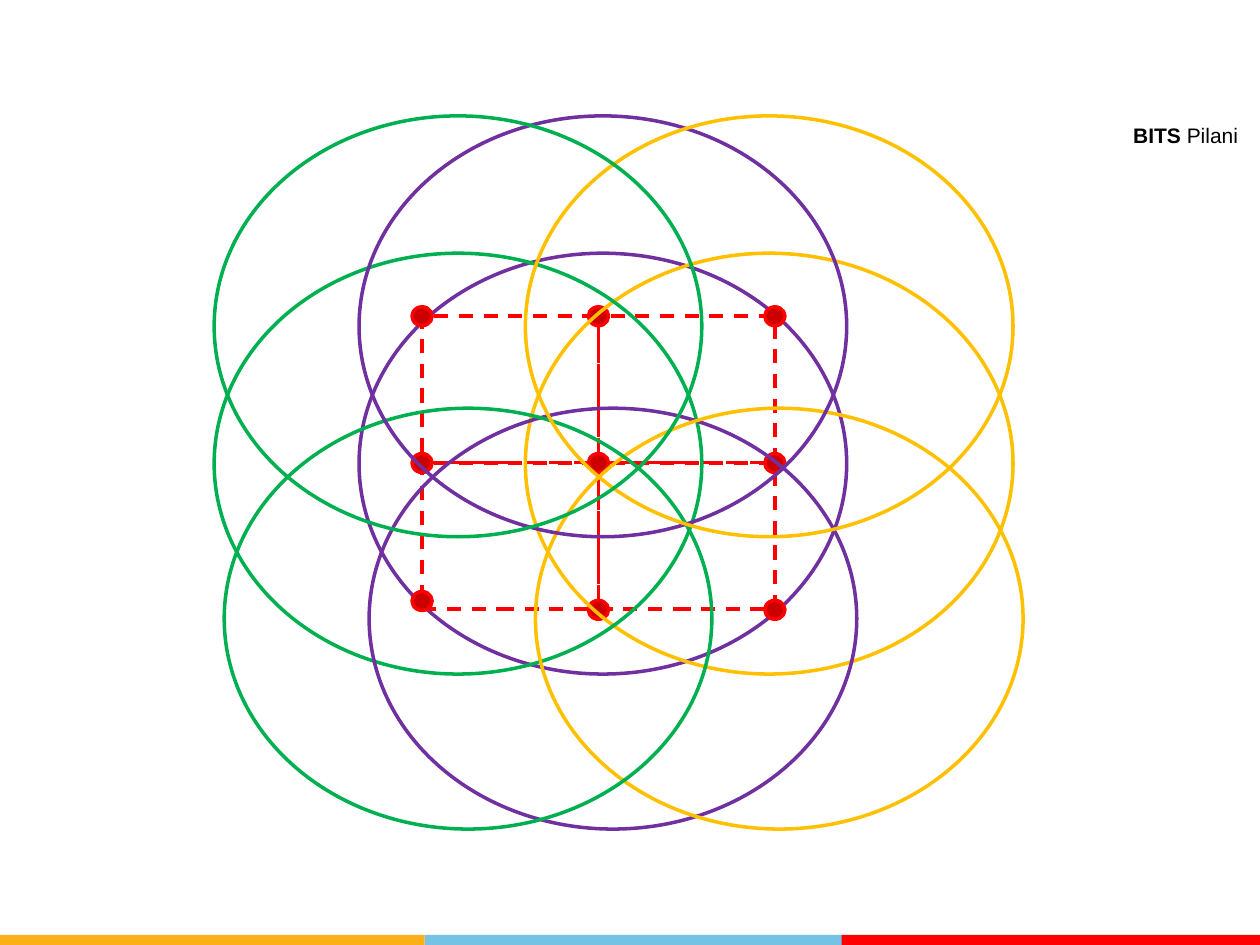
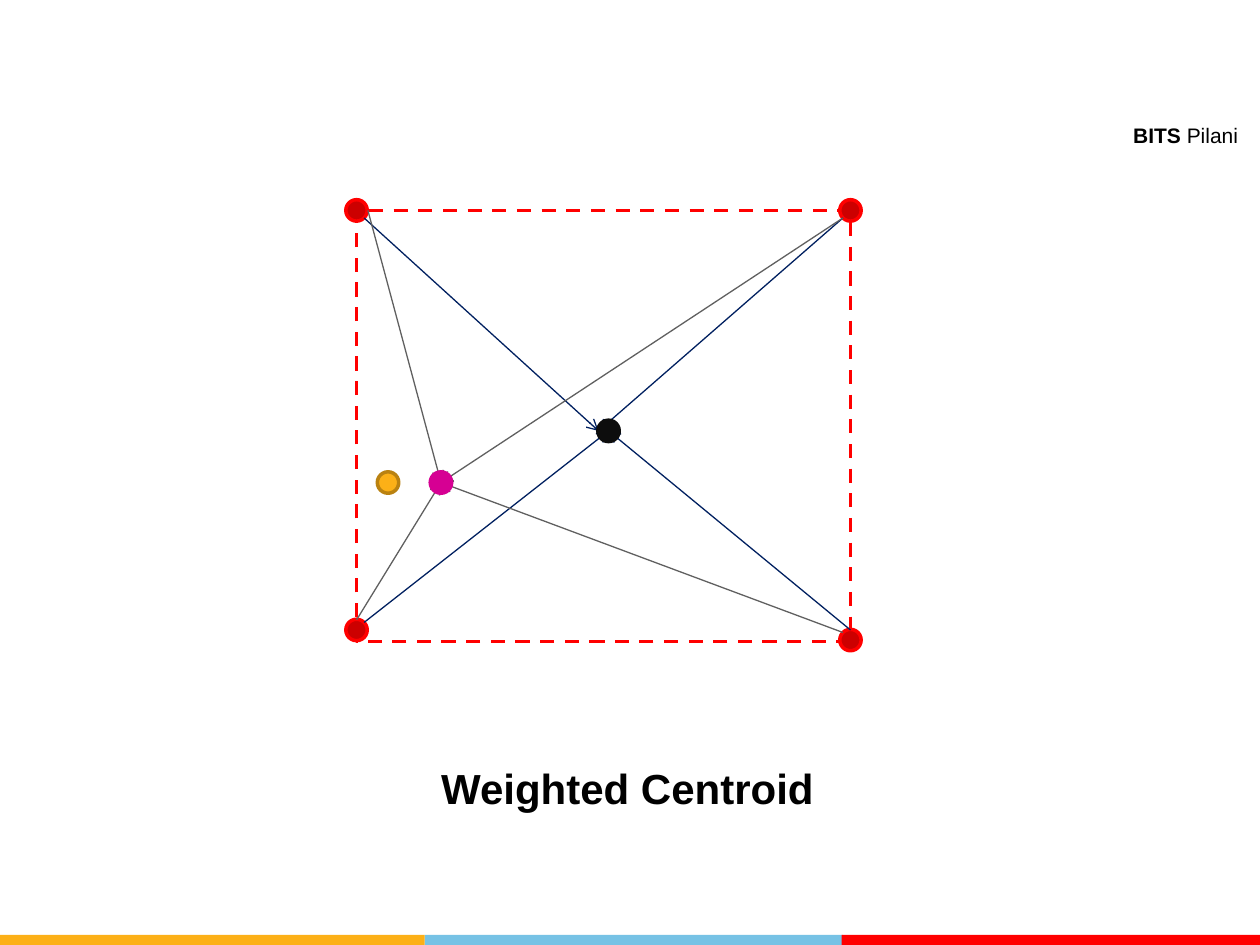
import dataclasses
import itertools
import typing

import lxml.etree
import pptx
import pptx.dml.color
import pptx.enum.dml
import pptx.enum.shapes
import pptx.enum.text
import pptx.oxml.ns
import pptx.slide
import pptx.text.text
import pptx.util

Inches = pptx.util.Inches
RGBColor = pptx.dml.color.RGBColor
ShapeType = pptx.enum.shapes.MSO_SHAPE
Point = tuple[float, float]

BLACK = RGBColor(0x00, 0x00, 0x00)
RED = RGBColor(0xFF, 0x00, 0x00)
DARK_RED = RGBColor(0xCC, 0x00, 0x00)
BAND_YELLOW = RGBColor(0xFC, 0xB0, 0x17)
BAND_BLUE = RGBColor(0x76, 0xC2, 0xE5)
BROWN = RGBColor(0xBA, 0x82, 0x11)
PURPLE = RGBColor(0x70, 0x30, 0xA0)
AMBER = RGBColor(0xFF, 0xC0, 0x00)
GREEN = RGBColor(0x00, 0xB0, 0x50)
NAVY = RGBColor(0x00, 0x20, 0x60)
GRAY = RGBColor(0x60, 0x60, 0x60)
NEAR_BLACK = RGBColor(0x0D, 0x0D, 0x0D)
MAGENTA = RGBColor(0xD6, 0x00, 0x93)

LABEL_FORMAT = {"name": "Arial", "size": pptx.util.Pt(12)}
TITLE_FORMAT = {"name": "Arial", "size": pptx.util.Pt(24), "bold": True}
RANGE_WIDTH, RANGE_HEIGHT = 3.87, 3.34
MARKER_SIZE = 0.17


@dataclasses.dataclass(frozen=True)
class Figure:
    left: float
    top: float
    width: float
    height: float
    kind: ShapeType = ShapeType.OVAL
    fill: typing.Optional[RGBColor] = None
    outline: typing.Optional[RGBColor] = None
    dashed: bool = False


@dataclasses.dataclass(frozen=True)
class Arrow:
    start: Point
    end: Point
    color: RGBColor


BANDS = [
    Figure(3.37, 7.42, 3.32, 0.08, ShapeType.RECTANGLE, BAND_BLUE),
    Figure(0, 7.42, 3.37, 0.08, ShapeType.RECTANGLE, BAND_YELLOW),
    Figure(6.68, 7.42, 3.32, 0.08, ShapeType.RECTANGLE, RED),
]


def draw_figure(slide: pptx.slide.Slide, figure: Figure) -> None:
    shape = slide.shapes.add_shape(
        figure.kind, Inches(figure.left), Inches(figure.top),
        Inches(figure.width), Inches(figure.height))
    shape.shadow.inherit = False
    if figure.fill is None:
        shape.fill.background()
    else:
        shape.fill.solid()
        shape.fill.fore_color.rgb = figure.fill
    if figure.outline is None:
        shape.line.fill.background()
    else:
        shape.line.color.rgb = figure.outline
        shape.line.width = pptx.util.Pt(2)
    if figure.dashed:
        shape.line.dash_style = pptx.enum.dml.MSO_LINE.DASH


def draw_arrow(slide: pptx.slide.Slide, arrow: Arrow) -> None:
    connector = slide.shapes.add_connector(
        pptx.enum.shapes.MSO_CONNECTOR.STRAIGHT,
        *(Inches(value) for value in arrow.start + arrow.end))
    connector.line.color.rgb = arrow.color
    connector.line.width = pptx.util.Pt(0.75)
    properties = connector.element.spPr
    line = properties.find(pptx.oxml.ns.qn("a:ln"))
    lxml.etree.SubElement(line, pptx.oxml.ns.qn("a:tailEnd"), type="arrow")
    lxml.etree.SubElement(properties, pptx.oxml.ns.qn("a:effectLst"))


def dot(center: Point, width: float, height: float,
        fill: RGBColor = DARK_RED, outline: RGBColor = RED) -> Figure:
    x, y = center
    return Figure(x - width / 2, y - height / 2, width, height,
                  fill=fill, outline=outline)


def draw_marker(slide: pptx.slide.Slide, center: Point,
                fill: RGBColor = DARK_RED, outline: RGBColor = RED) -> None:
    draw_figure(slide, dot(center, MARKER_SIZE, MARKER_SIZE, fill, outline))


def format_font(font: pptx.text.text.Font, values: dict[str, typing.Any]) -> None:
    for name, value in values.items():
        setattr(font, name, value)
    font.color.rgb = BLACK


def add_branded_slide(presentation, layout_name: str) -> pptx.slide.Slide:
    layout = presentation.slide_layouts.get_by_name(layout_name)
    slide = presentation.slides.add_slide(layout)
    for band in BANDS:
        draw_figure(slide, band)
    label = slide.shapes.add_textbox(
        Inches(8.85), Inches(0.92), Inches(1.12), Inches(0.29))
    label.text_frame.word_wrap = True
    paragraph = label.text_frame.paragraphs[0]
    paragraph.alignment = pptx.enum.text.PP_ALIGN.CENTER
    for text, bold in (("BITS", True), (" Pilani", False)):
        run = paragraph.add_run()
        run.text = text
        format_font(run.font, LABEL_FORMAT | {"bold": bold})
    return slide


def add_title(slide: pptx.slide.Slide, text: str) -> None:
    title = slide.shapes.title
    placement = {"left": 2.73, "top": 6, "width": 4.5, "height": 0.51}
    for name, value in placement.items():
        setattr(title, name, Inches(value))
    title.text_frame.text = text
    paragraph = title.text_frame.paragraphs[0]
    paragraph.alignment = pptx.enum.text.PP_ALIGN.CENTER
    format_font(paragraph.font, TITLE_FORMAT)


def build_ranges_slide(presentation) -> None:
    slide = add_branded_slide(presentation, "Blank")
    columns = [(2.85, PURPLE), (4.17, AMBER), (1.7, GREEN)]
    rows = [(2.01, 0), (3.24, 0.08), (0.92, 0)]
    ranges = [
        Figure(left + shift, top, RANGE_WIDTH, RANGE_HEIGHT, outline=color)
        for (top, shift), (left, color) in itertools.product(rows, columns)
    ]
    node_columns = [3.35, 4.75, 6.15]
    node_rows = [2.51, 3.675, 4.84]
    cells = [
        Figure(left, top, 1.4, 1.16, ShapeType.RECTANGLE, outline=RED, dashed=True)
        for top, left in itertools.product(node_rows[:2], node_columns[:2])
    ]
    centers = [(x, y) for y, x in itertools.product(node_rows, node_columns)]
    bottom_left = centers.index((node_columns[0], node_rows[-1]))
    centers[bottom_left] = (node_columns[0], 4.77)
    nodes = [dot(center, 0.16, 0.15) for center in centers]
    for figure in ranges[:1] + cells + nodes + ranges[1:]:
        draw_figure(slide, figure)


def build_centroid_slide(presentation) -> None:
    slide = add_branded_slide(presentation, "Title Only")
    add_title(slide, "Weighted Centroid")
    draw_figure(slide, Figure(2.83, 1.67, 3.92, 3.42, ShapeType.RECTANGLE,
                              outline=RED, dashed=True))
    for anchor in [(2.83, 1.67), (6.75, 1.67), (2.83, 5), (6.75, 5.08)]:
        draw_marker(slide, anchor)

    centroid_links = [
        ((2.89, 1.73), (4.75, 3.42)),
        ((6.69, 1.73), (4.75, 3.42)),
        ((6.75, 5), (4.83, 3.42)),
        ((2.89, 4.94), (4.83, 3.42)),
    ]
    for start, end in centroid_links:
        draw_arrow(slide, Arrow(start, end, NAVY))
    draw_marker(slide, (4.83, 3.42), NEAR_BLACK, NEAR_BLACK)

    weighted_centroid = (3.5, 3.83)
    for start in [(2.92, 1.67), (2.83, 4.92), (6.69, 1.73), (6.69, 5.02)]:
        draw_arrow(slide, Arrow(start, weighted_centroid, GRAY))
    draw_marker(slide, weighted_centroid, MAGENTA, MAGENTA)
    draw_marker(slide, (3.08, 3.83), BAND_YELLOW, BROWN)


def main() -> None:
    presentation = pptx.Presentation()
    presentation.slide_width = Inches(10)
    presentation.slide_height = Inches(7.5)
    build_ranges_slide(presentation)
    build_centroid_slide(presentation)
    presentation.save("out.pptx")


if __name__ == "__main__":
    main()
